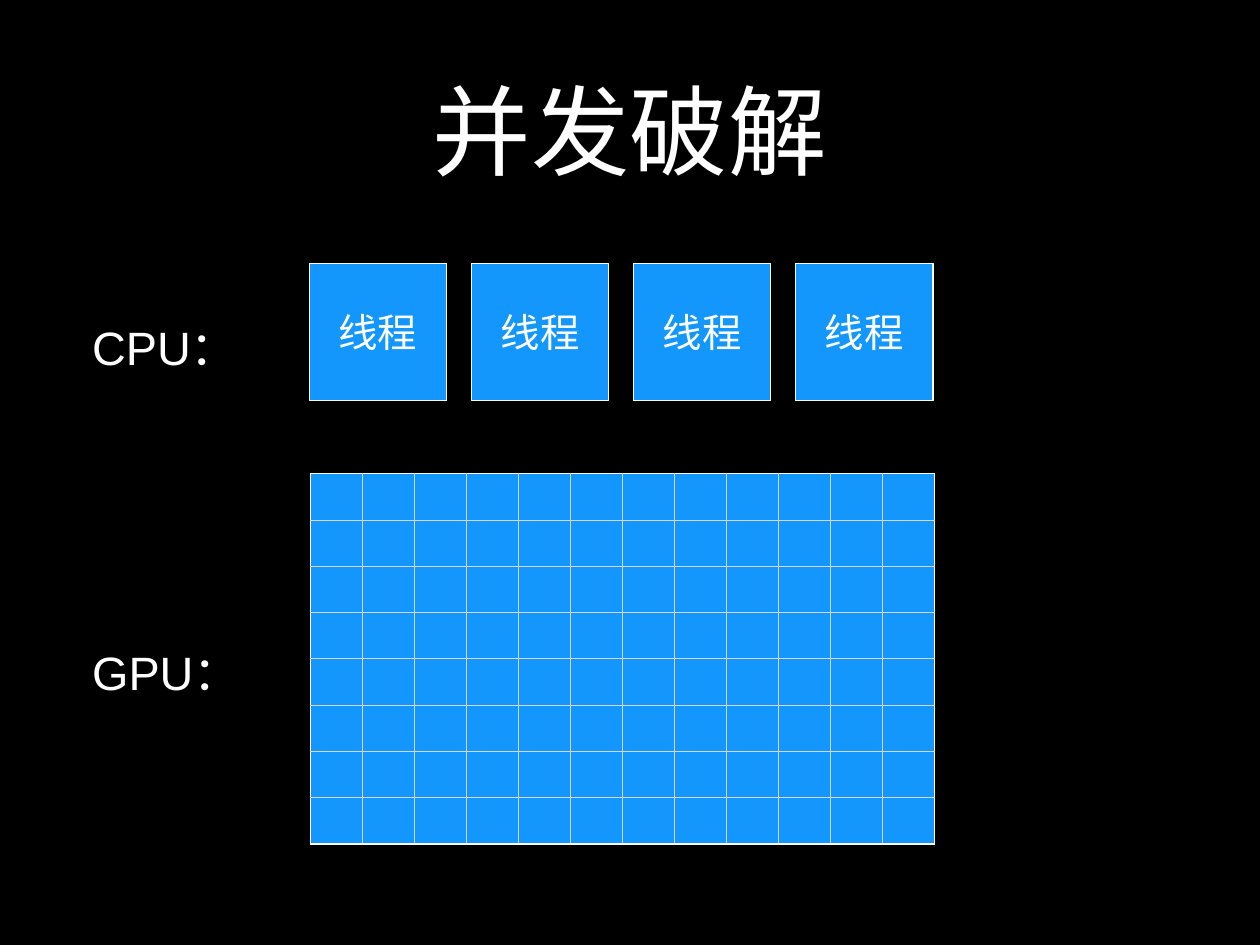
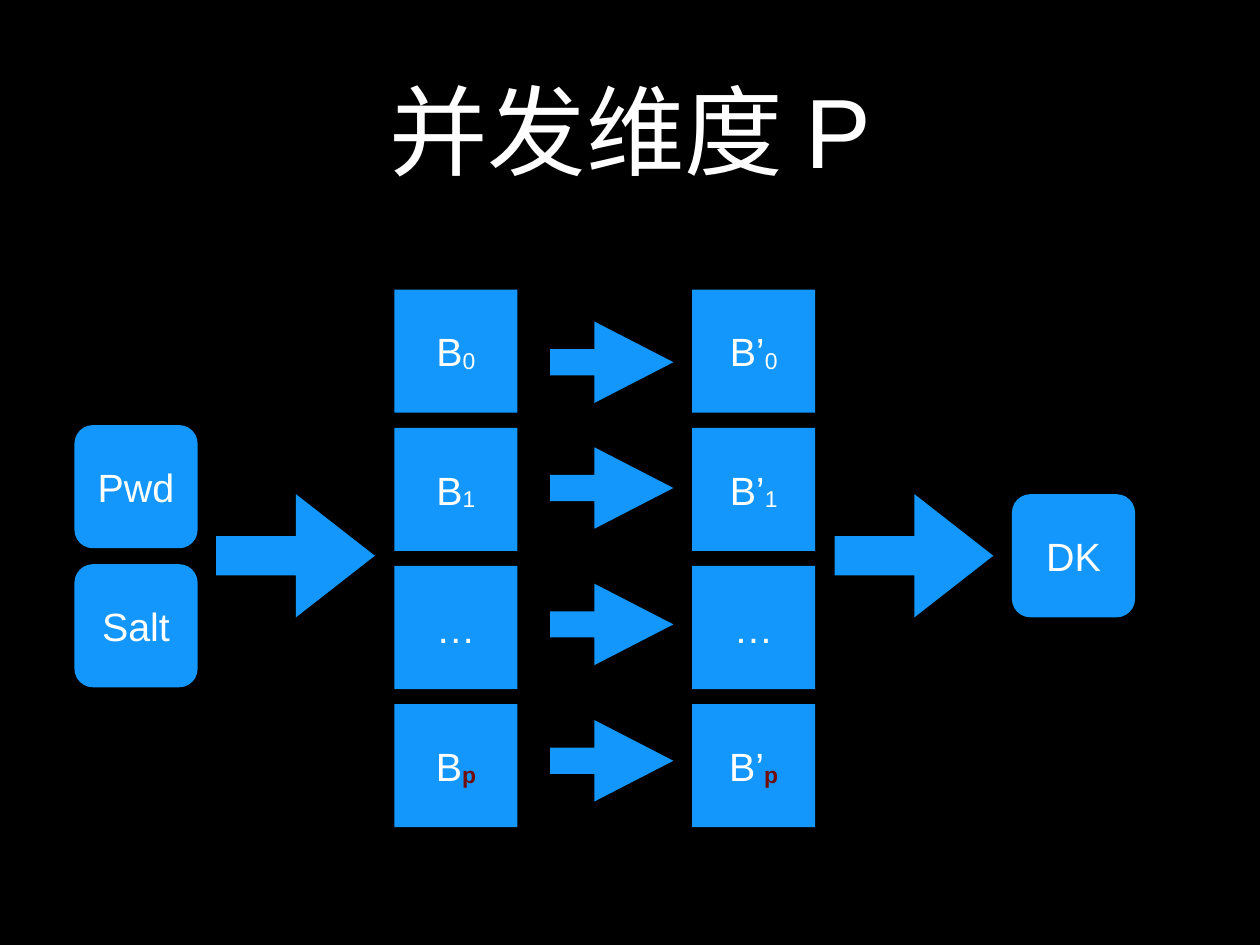
"""Build two slides on concurrent cracking with CPU, GPU and the dimension P."""
from dataclasses import dataclass

from lxml import etree
from pptx import Presentation
from pptx.dml.color import RGBColor
from pptx.enum.shapes import MSO_SHAPE
from pptx.enum.text import MSO_ANCHOR, MSO_AUTO_SIZE, PP_ALIGN
from pptx.oxml.ns import qn
from pptx.presentation import Presentation as Deck
from pptx.slide import Slide
from pptx.text.text import TextFrame
from pptx.util import Inches, Pt

RECT = MSO_SHAPE.RECTANGLE
ROUND = MSO_SHAPE.ROUNDED_RECTANGLE
ARROW = MSO_SHAPE.RIGHT_ARROW
MIDDLE = MSO_ANCHOR.MIDDLE
FIXED = MSO_AUTO_SIZE.NONE
LEFT, CENTER = PP_ALIGN.LEFT, PP_ALIGN.CENTER

COLORS = {"back": "000000", "text": "FFFFFF", "blue": "1497FC",
          "grid": "D6D6D6", "mark": "720C04"}
FONT = "Arial"
FRAME = {"margin_left": 0, "margin_top": 0, "margin_right": 0,
         "margin_bottom": 0, "vertical_anchor": MIDDLE,
         "word_wrap": True, "auto_size": FIXED}
LABEL = {"line_spacing": 1.5, "space_before": Pt(42)}
SIDE = 1.39
PITCH = 1.56
ROWS, COLS = 8, 12


@dataclass
class Box:
    """Place, form and wording of one shape."""
    left: float
    top: float
    width: float = SIDE
    height: float = SIDE
    form: MSO_SHAPE = RECT
    text: str = ""
    sub: str = ""
    adjust: tuple[float, ...] = ()
    edge: bool = False


def color(name: str) -> RGBColor:
    """Return a named colour."""
    return RGBColor.from_string(COLORS[name])


def write(frame: TextFrame, text: str, size: int, align: PP_ALIGN = CENTER,
          sub: str = "") -> None:
    """Fill a frame with one styled line and an optional subscript."""
    for name, value in FRAME.items():
        setattr(frame, name, value)
    line = frame.paragraphs[0]
    line.alignment = align
    for part in filter(None, (text, sub)):
        run = line.add_run()
        run.text = part
        looks = {"name": FONT, "size": Pt(size), "bold": part == "p"}
        for name, value in looks.items():
            setattr(run.font, name, value)
        run.font.color.rgb = color("mark" if part == "p" else "text")
        if part == sub:
            run._r.get_or_add_rPr().set("baseline", "-6000")


def start(deck: Deck, text: str) -> Slide:
    """Add a slide with its title."""
    slide = deck.slides.add_slide(deck.slide_layouts[5])
    title = slide.shapes.title
    place = {"left": 1.04, "top": 0.28, "width": 12.14, "height": 2.36}
    for name, value in place.items():
        setattr(title, name, Inches(value))
    write(title.text_frame, text, 80)
    return slide


def draw(slide: Slide, box: Box) -> None:
    """Draw one blue shape."""
    shape = slide.shapes.add_shape(
        box.form, Inches(box.left), Inches(box.top),
        Inches(box.width), Inches(box.height))
    shape.shadow.inherit = False
    shape.fill.solid()
    shape.fill.fore_color.rgb = color("blue")
    if box.edge:
        shape.line.color.rgb = color("text")
        shape.line.width = Pt(1)
    else:
        shape.line.fill.background()
    for i, value in enumerate(box.adjust):
        shape.adjustments[i] = value
    if box.text:
        write(shape.text_frame, box.text, 32, sub=box.sub)


def label(slide: Slide, text: str, top: float) -> None:
    """Add a row label on the left."""
    box = slide.shapes.add_textbox(
        Inches(1.04), Inches(top), Inches(1.89), Inches(1.51))
    write(box.text_frame, text, 38, LEFT)
    for name, value in LABEL.items():
        setattr(box.text_frame.paragraphs[0], name, value)


def grid(slide: Slide) -> None:
    """Draw the GPU cells as a table."""
    table = slide.shapes.add_table(
        ROWS, COLS, Inches(3.5), Inches(5.35),
        Inches(7.05), Inches(4.18)).table
    table.first_row = table.horz_banding = False
    for r in range(ROWS):
        for c in range(COLS):
            cell = table.cell(r, c)
            cell.fill.solid()
            cell.fill.fore_color.rgb = color("blue")
            props = cell._tc.get_or_add_tcPr()
            outer = {"L": c == 0, "R": c == COLS - 1,
                     "T": r == 0, "B": r == ROWS - 1}
            for i, (side, edge) in enumerate(outer.items()):
                line = etree.Element(qn(f"a:ln{side}"), w=str(Pt(1)))
                fill = etree.SubElement(line, qn("a:solidFill"))
                etree.SubElement(fill, qn("a:srgbClr"),
                                 val=COLORS["text" if edge else "grid"])
                props.insert(i, line)


def threads(deck: Deck) -> None:
    """Compare CPU threads with GPU cells."""
    slide = start(deck, "并发破解")
    label(slide, "CPU：", 3)
    for i in range(4):
        draw(slide, Box(3.49 + 1.83 * i, 2.98, 1.55, 1.54,
                        text="线程", edge=True))
    grid(slide)
    label(slide, "GPU：", 6.67)


def blocks(deck: Deck) -> None:
    """Show the blocks that run side by side."""
    slide = start(deck, "并发维度 P")
    for left, stem in ((4.45, "B"), (7.81, "B’")):
        for i, sub in enumerate(("0", "1", "", "p")):
            draw(slide, Box(left, 3.27 + PITCH * i,
                            text=stem if sub else "…", sub=sub))
    for left, top, text in ((0.84, 4.8, "Pwd"), (0.84, 6.37, "Salt"),
                            (11.42, 5.58, "DK")):
        draw(slide, Box(left, top, form=ROUND, text=text, adjust=(0.15,)))
    for left in (2.44, 9.42):
        draw(slide, Box(left, 5.58, 1.79, form=ARROW, adjust=(0.32, 0.64)))
    for top in (3.63, 5.05, 6.59, 8.13):
        draw(slide, Box(6.21, top, height=0.92, form=ARROW,
                        adjust=(0.32, 0.97)))


def main() -> None:
    """Build and save the deck."""
    deck = Presentation()
    deck.slide_width, deck.slide_height = Inches(14.22), Inches(10.67)
    back = deck.slide_master.background.fill
    back.solid()
    back.fore_color.rgb = color("back")
    threads(deck)
    blocks(deck)
    deck.save("out.pptx")


if __name__ == "__main__":
    main()
